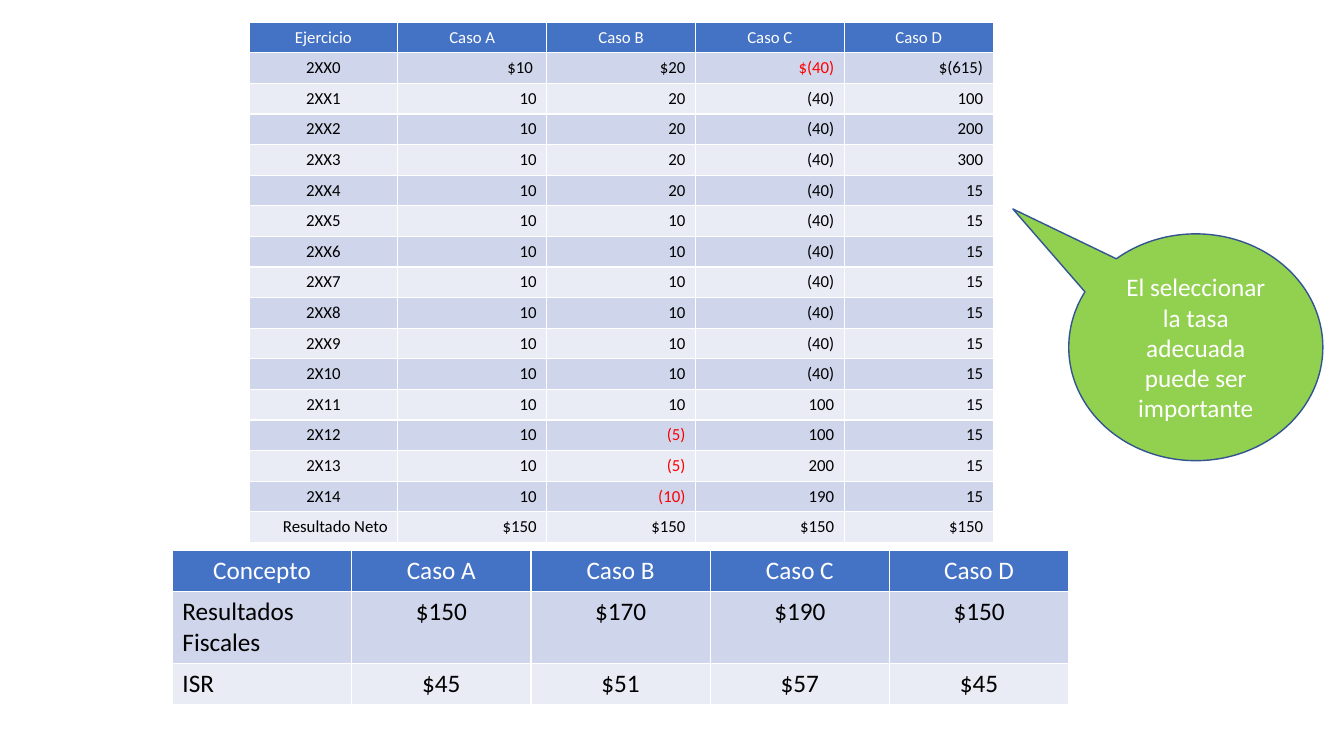
from pptx import Presentation
from pptx.dml.color import RGBColor
from pptx.enum.shapes import MSO_SHAPE
from pptx.enum.text import MSO_ANCHOR, PP_ALIGN
from pptx.util import Inches, Pt

COLORS = {
    "header": "4472C4", "band_dark": "CFD5EA", "band_light": "E9EBF5",
    "white": "FFFFFF", "black": "000000", "red": "FF0000",
    "callout": "92D050", "outline": "325491",
}
FONT = "Calibri"
CASES = ["Caso A", "Caso B", "Caso C", "Caso D"]
RESULTS = [
    ["Ejercicio", *CASES],
    ["2XX0", "$10 ", "$20", "$(40)", "$(615)"],
    ["2XX1", "10", "20", "(40)", "100"],
    ["2XX2", "10", "20", "(40)", "200"],
    ["2XX3", "10", "20", "(40)", "300"],
    ["2XX4", "10", "20", "(40)", "15"],
    ["2XX5", "10", "10", "(40)", "15"],
    ["2XX6", "10", "10", "(40)", "15"],
    ["2XX7", "10", "10", "(40)", "15"],
    ["2XX8", "10", "10", "(40)", "15"],
    ["2XX9", "10", "10", "(40)", "15"],
    ["2X10", "10", "10", "(40)", "15"],
    ["2X11", "10", "10", "100", "15"],
    ["2X12", "10", "(5)", "100", "15"],
    ["2X13", "10", "(5)", "200", "15"],
    ["2X14", "10", "(10)", "190", "15"],
    ["Resultado Neto", "$150", "$150", "$150", "$150"],
]
TAXES = [
    ["Concepto", *CASES],
    ["Resultados Fiscales", "$150", "$170", "$190", "$150"],
    ["ISR", "$45", "$51", "$57", "$45"],
]
RED_VALUES = {"$(40)", "(5)", "(10)"}
ADVICE = "El seleccionar la tasa adecuada puede ser importante"


def rgb(name):
    return RGBColor.from_string(COLORS[name])


def write(para, text, size, color, align):
    para.alignment = align
    span = para.add_run()
    span.text = text
    span.font.name = FONT
    span.font.size = Pt(size)
    span.font.bold = False
    span.font.color.rgb = rgb(color)


def add_grid(page, rows, left, top, width, heights, size, align_cell):
    columns = len(rows[0])
    table = page.shapes.add_table(
        len(rows), columns, Inches(left), Inches(top),
        Inches(width), Inches(sum(heights))).table
    for column in table.columns:
        column.width = Inches(width / columns)
    for r, values in enumerate(rows):
        table.rows[r].height = Inches(heights[r])
        band = "header" if r == 0 else "band_dark" if r % 2 else "band_light"
        for c, value in enumerate(values):
            cell = table.cell(r, c)
            cell.fill.solid()
            cell.fill.fore_color.rgb = rgb(band)
            color = "white" if r == 0 else "red" if value in RED_VALUES else "black"
            align = PP_ALIGN.CENTER if r == 0 else align_cell(r, c)
            write(cell.text_frame.paragraphs[0], value, size, color, align)


def align_result(r, c):
    is_year = c == 0 and r < len(RESULTS) - 1
    return PP_ALIGN.CENTER if is_year else PP_ALIGN.RIGHT


def align_tax(r, c):
    return PP_ALIGN.CENTER if c else PP_ALIGN.LEFT


def main():
    deck = Presentation()
    deck.slide_width, deck.slide_height = Inches(13.33), Inches(7.5)
    page = deck.slides.add_slide(deck.slide_layouts[6])

    # Yearly results and tax summary
    add_grid(page, RESULTS, 2.47, 0.22, 7.38, [0.3] * len(RESULTS), 12, align_result)
    add_grid(page, TAXES, 1.71, 5.46, 8.89, [0.41, 0.7, 0.41], 18, align_tax)

    # Advice callout
    callout = page.shapes.add_shape(
        MSO_SHAPE.OVAL_CALLOUT, Inches(10.6), Inches(2.32), Inches(2.52), Inches(2.25))
    callout.adjustments[0], callout.adjustments[1] = -0.72, -0.61
    callout.shadow.inherit = False
    callout.fill.solid()
    callout.fill.fore_color.rgb = rgb("callout")
    callout.line.color.rgb = rgb("outline")
    callout.line.width = Pt(1)
    frame = callout.text_frame
    frame.word_wrap = True
    frame.vertical_anchor = MSO_ANCHOR.MIDDLE
    write(frame.paragraphs[0], ADVICE, 18, "white", PP_ALIGN.CENTER)

    deck.save("out.pptx")


if __name__ == "__main__":
    main()
